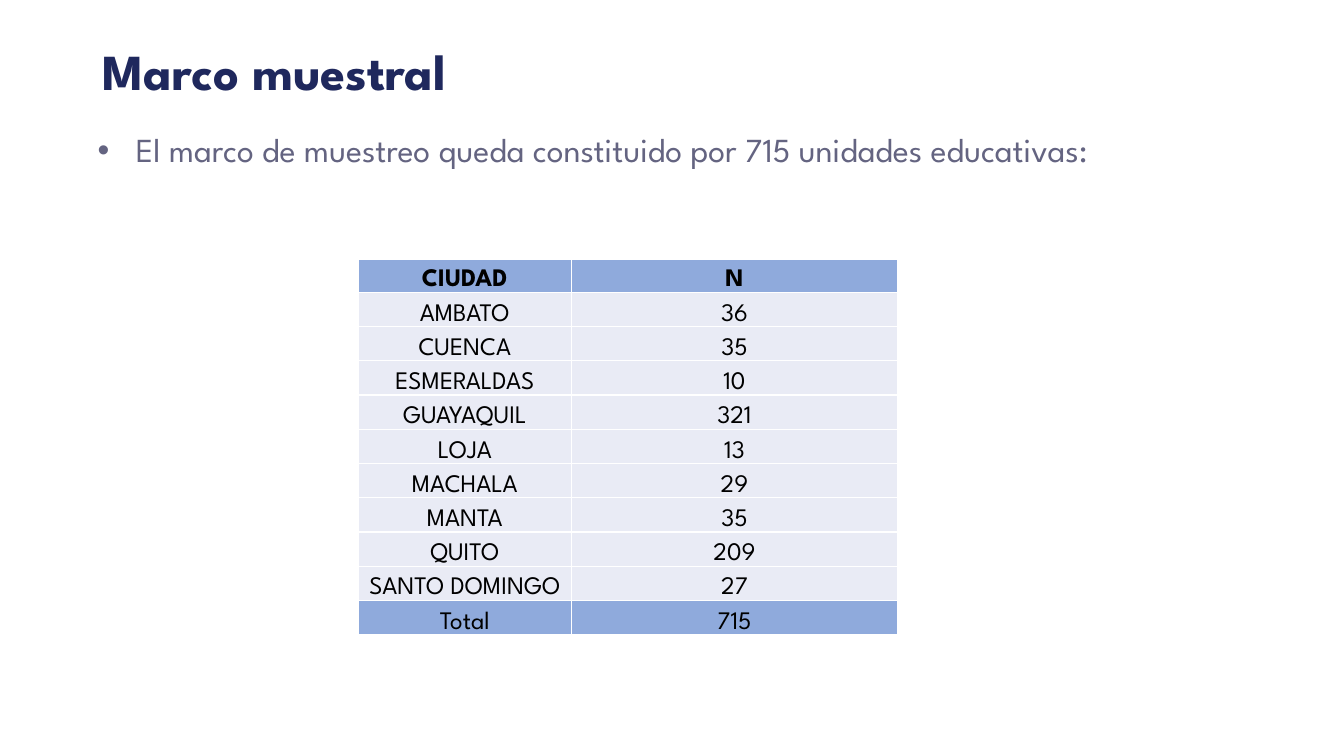
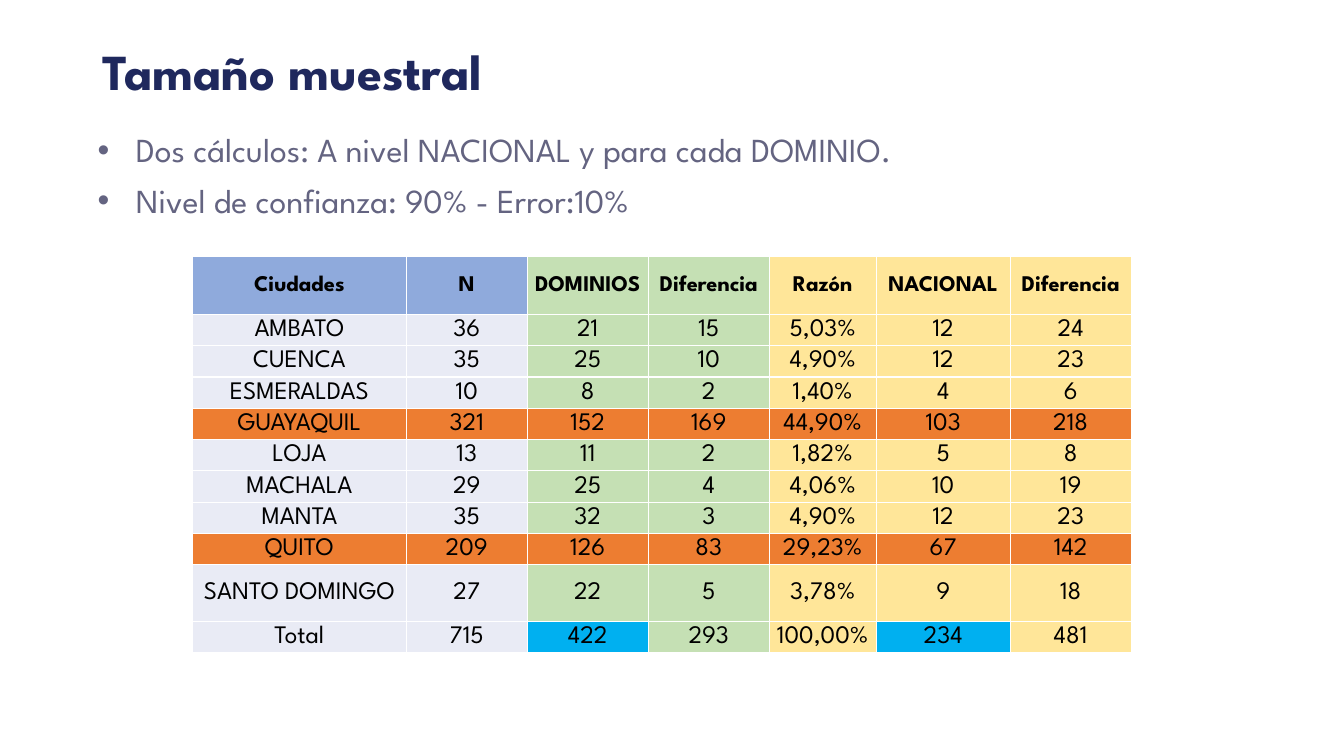
"""Build two slides on the sampling frame and the sample size."""
from lxml.etree import SubElement
from pptx import Presentation
from pptx.dml.color import RGBColor
from pptx.enum.text import MSO_ANCHOR as Anchor, PP_ALIGN as Align
from pptx.oxml import parse_xml
from pptx.oxml.ns import nsdecls, qn
from pptx.util import Inches, Pt

FONT = "League Spartan"
NAVY = RGBColor(0x1F, 0x28, 0x5D)
SLATE = RGBColor(0x64, 0x64, 0x81)
BLACK = RGBColor(0x00, 0x00, 0x00)
BLUE = RGBColor(0x8F, 0xAA, 0xDC)
PALE = RGBColor(0xE9, 0xEB, 0xF5)
GREEN = RGBColor(0xC5, 0xE0, 0xB4)
YELLOW = RGBColor(0xFF, 0xE6, 0x99)
ORANGE = RGBColor(0xED, 0x7D, 0x31)
CYAN = RGBColor(0x00, 0xB0, 0xF0)

SAMPLE_HEADER = ["Ciudades", "N", "DOMINIOS", "Diferencia", "Razón", "NACIONAL", "Diferencia"]
SAMPLE_ROWS = [
    ["AMBATO", "36", "21", "15", "5,03%", "12", "24"],
    ["CUENCA", "35", "25", "10", "4,90%", "12", "23"],
    ["ESMERALDAS", "10", "8", "2", "1,40%", "4", "6"],
    ["GUAYAQUIL", "321", "152", "169", "44,90%", "103", "218"],
    ["LOJA", "13", "11", "2", "1,82%", "5", "8"],
    ["MACHALA", "29", "25", "4", "4,06%", "10", "19"],
    ["MANTA", "35", "32", "3", "4,90%", "12", "23"],
    ["QUITO", "209", "126", "83", "29,23%", "67", "142"],
    ["SANTO DOMINGO", "27", "22", "5", "3,78%", "9", "18"],
    ["Total", "715", "422", "293", "100,00%", "234", "481"],
]
LARGE_CITIES = {"GUAYAQUIL", "QUITO"}
SAMPLE_TOTALS = {"DOMINIOS", "NACIONAL"}

frame_rows = [["CIUDAD", "N"]] + [row[:2] for row in SAMPLE_ROWS]
frame_fills = [[BLUE] * 2] + [[PALE] * 2 for _ in SAMPLE_ROWS[:-1]] + [[BLUE] * 2]

column_fills = [PALE] * 2 + [GREEN] * 2 + [YELLOW] * 3
sample_fills = [[BLUE] * 2 + column_fills[2:]]
for row in SAMPLE_ROWS:
    sample_fills.append([ORANGE] * 7 if row[0] in LARGE_CITIES else list(column_fills))
for index, heading in enumerate(SAMPLE_HEADER):
    if heading in SAMPLE_TOTALS:
        sample_fills[-1][index] = CYAN

SLIDES = [
    {
        "title": "Marco muestral",
        "bullets": ["El marco de muestreo queda constituido por 715 unidades educativas:"],
        "body_size": (10.7, 0.93),
        "corner": (3.55, 2.57),
        "columns": [2.12, 3.23],
        "heights": [0.33] + [0.34] * 10,
        "rows": frame_rows,
        "fills": frame_fills,
        "anchor": Anchor.BOTTOM,
        "header_size": 18,
    },
    {
        "title": "Tamaño muestral",
        "bullets": [
            "Dos cálculos: A nivel NACIONAL y para cada DOMINIO.",
            "Nivel de confianza: 90% - Error:10%",
        ],
        "body_size": (11.57, 1.2),
        "corner": (1.91, 2.54),
        "columns": [2.12, 1.2, 1.2, 1.2, 1.06, 1.33, 1.2],
        "heights": [0.58] + [0.3] * 7 + [0.28, 0.56, 0.3],
        "rows": [SAMPLE_HEADER] + SAMPLE_ROWS,
        "fills": sample_fills,
        "anchor": Anchor.MIDDLE,
        "header_size": 16,
    },
]


def add_span(para, text, size, color, bold=False):
    span = para.add_run()
    span.text = text
    span.font.name = FONT
    span.font.size = Pt(size)
    span.font.color.rgb = color
    span.font.bold = bold


def style_cell(cell, fill, anchor):
    cell.fill.solid()
    cell.fill.fore_color.rgb = fill
    cell.vertical_anchor = anchor
    cell.margin_left = cell.margin_right = cell.margin_top = Inches(0.01)
    cell.margin_bottom = 0
    properties = cell._tc.get_or_add_tcPr()
    for position, side in enumerate(("lnL", "lnR", "lnT", "lnB")):
        border = parse_xml(
            f'<a:{side} {nsdecls("a")} w="12700"><a:solidFill>'
            f'<a:srgbClr val="FFFFFF"/></a:solidFill></a:{side}>'
        )
        properties.insert(position, border)


deck = Presentation()
deck.slide_width = Inches(13.33)
deck.slide_height = Inches(7.5)

for content in SLIDES:
    page = deck.slides.add_slide(deck.slide_layouts[6])

    title_box = page.shapes.add_textbox(Inches(0.92), Inches(0.37), Inches(8.46), Inches(0.74))
    title_box.text_frame.word_wrap = True
    title_box.text_frame.vertical_anchor = Anchor.MIDDLE
    para = title_box.text_frame.paragraphs[0]
    para.line_spacing = 0.9
    add_span(para, content["title"], 36, NAVY, bold=True)

    width, height = content["body_size"]
    body_box = page.shapes.add_textbox(Inches(0.87), Inches(1.28), Inches(width), Inches(height))
    body_box.text_frame.word_wrap = True
    for index, text in enumerate(content["bullets"]):
        para = body_box.text_frame.add_paragraph() if index else body_box.text_frame.paragraphs[0]
        para.alignment = Align.JUSTIFY
        para.line_spacing = 0.9
        para.space_before = Pt(10)
        properties = para._p.get_or_add_pPr()
        properties.set("marL", str(Inches(0.38)))
        properties.set("indent", str(-Inches(0.38)))
        SubElement(properties, qn("a:buFont"), typeface="Arial")
        SubElement(properties, qn("a:buChar"), char="•")
        add_span(para, text, 24, SLATE)

    rows, columns, heights = content["rows"], content["columns"], content["heights"]
    left, top = content["corner"]
    table = page.shapes.add_table(
        len(rows), len(columns), Inches(left), Inches(top),
        Inches(sum(columns)), Inches(sum(heights)),
    ).table
    table.horz_banding = False
    for column, width in zip(table.columns, columns):
        column.width = Inches(width)
    for row_index, (values, fills) in enumerate(zip(rows, content["fills"])):
        table.rows[row_index].height = Inches(heights[row_index])
        is_header = row_index == 0
        size = content["header_size"] if is_header else 18
        for column_index, (value, fill) in enumerate(zip(values, fills)):
            cell = table.cell(row_index, column_index)
            style_cell(cell, fill, content["anchor"])
            para = cell.text_frame.paragraphs[0]
            para.alignment = Align.CENTER
            add_span(para, value, size, BLACK, bold=is_header)

deck.save("out.pptx")
